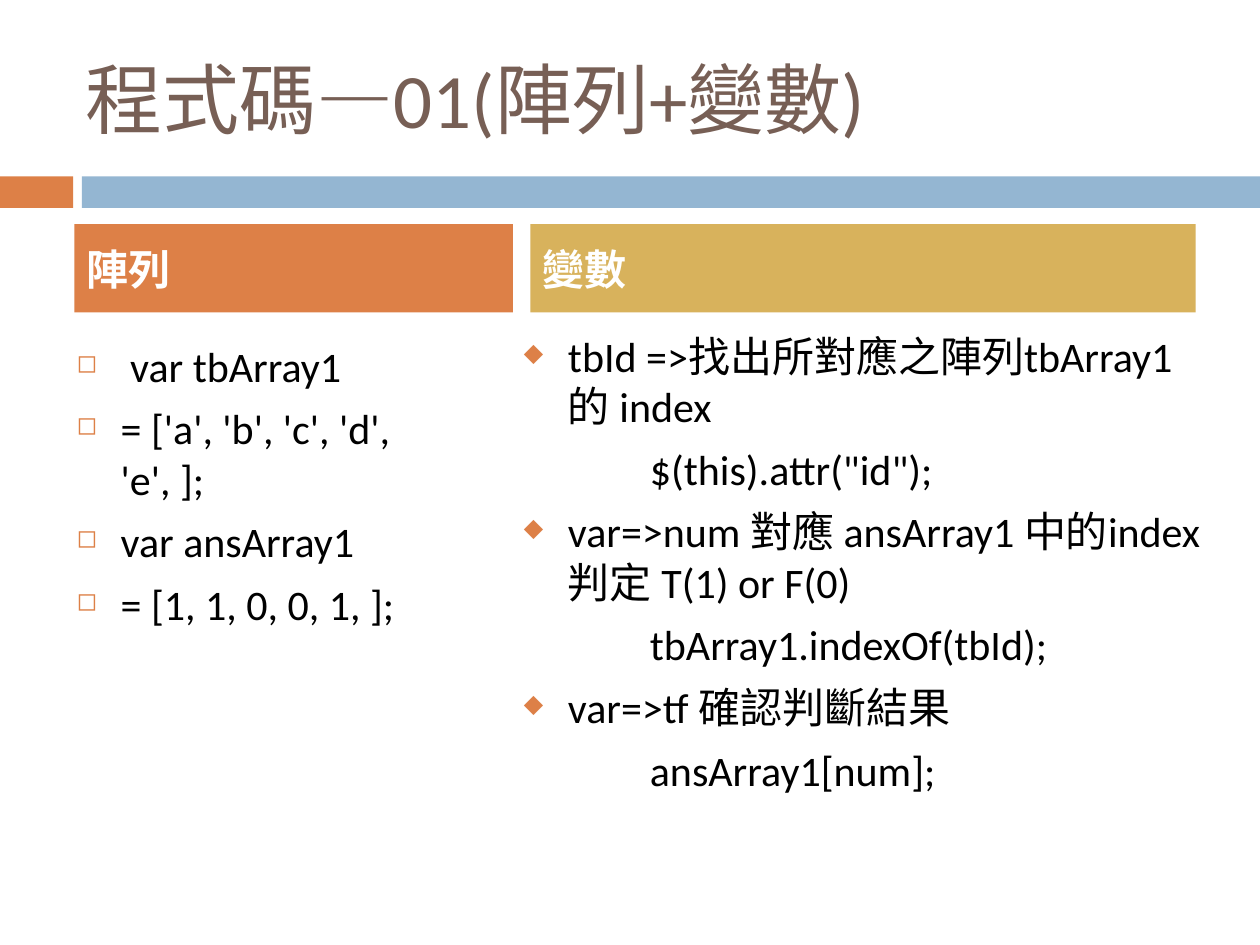
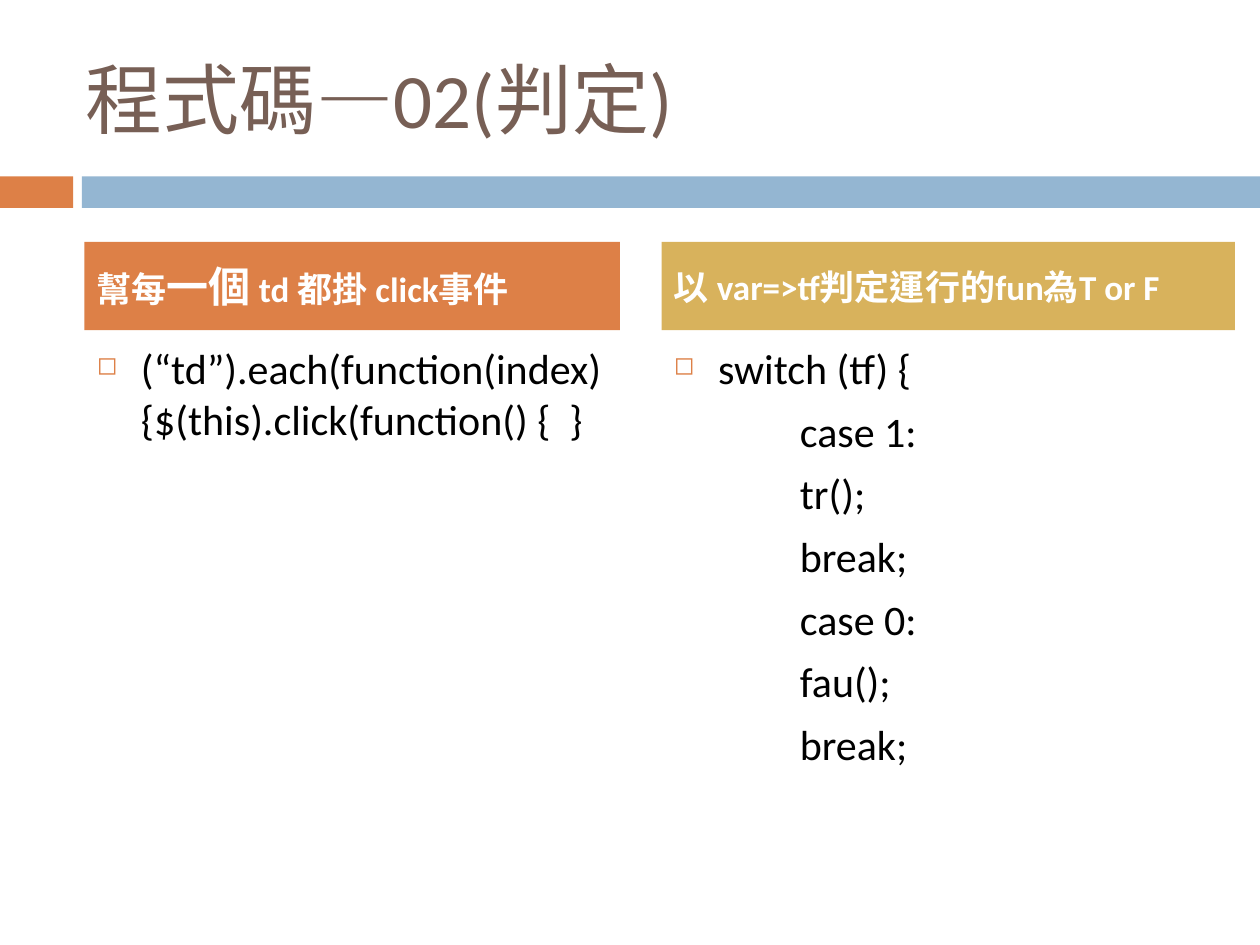
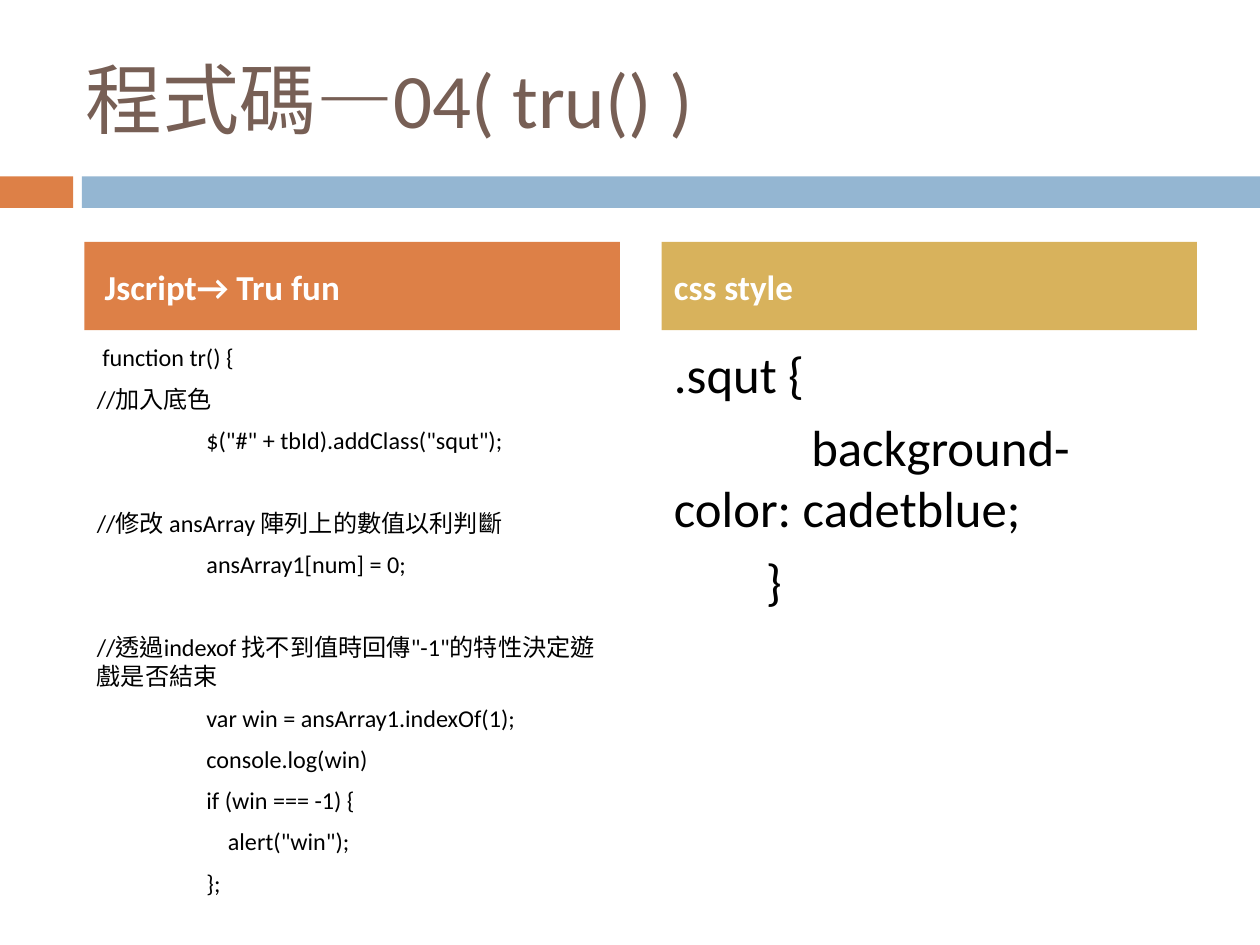
from collections import namedtuple
from dataclasses import dataclass

from lxml.etree import SubElement
from pptx import Presentation
from pptx.dml.color import RGBColor as Rgb
from pptx.enum.shapes import MSO_SHAPE as Kind
from pptx.enum.text import MSO_ANCHOR as Anchor, PP_ALIGN as Align
from pptx.oxml.ns import qn
from pptx.util import Inches, Pt


@dataclass(frozen=True)
class Theme:
    font: str = "Calibri"
    orange: str = "DD8047"
    blue: str = "94B6D2"
    gold: str = "D8B25C"
    brown: str = "775F55"
    black: str = "000000"
    white: str = "FFFFFF"
    title: float = 44
    text: float = 24
    label: float = 20
    code: float = 13.8
    style: float = 29
    gap: float = 7


T = Theme()
Box = namedtuple("Box", "x y w h")
# left: indent of the whole line, first: extra indent of its first row
Line = namedtuple("Line", "text mark left first gap", defaults=("", 0, 0, T.gap))
SQUARE, DIAMOND = "◻", "◆"
STEP = 0.35   # hanging indent of a bullet
TAB = 1       # indent of code under a bullet


def place(box):
    return [Inches(n) for n in box]


def ink(run, size, color, bold=False):
    font = run.font
    font.name, font.size, font.bold = T.font, Pt(size), bold
    font.color.rgb = Rgb.from_string(color)
    run._r.get_or_add_rPr().set("lang", "zh-TW")


def indent(para, left, first):
    props = para._p.get_or_add_pPr()
    props.set("marL", str(Inches(left)))
    props.set("indent", str(Inches(first)))
    return props


def bullet(para, mark):
    props = indent(para, STEP, -STEP)
    tint = SubElement(props, qn("a:buClr"))
    SubElement(tint, qn("a:srgbClr"), val=T.orange)
    SubElement(props, qn("a:buSzPct"), val="60000")
    SubElement(props, qn("a:buChar"), char=mark)


def block(slide, box, color):
    shape = slide.shapes.add_shape(Kind.RECTANGLE, *place(box))
    shape.shadow.inherit = False
    shape.fill.solid()
    shape.fill.fore_color.rgb = Rgb.from_string(color)
    shape.line.fill.background()
    return shape


def frame(slide, title):
    # Title
    area = slide.shapes.add_textbox(*place(Box(0.58, 0.3, 8.92, 0.95)))
    text = area.text_frame
    text.word_wrap = True
    text.vertical_anchor = Anchor.MIDDLE
    text.text = title
    ink(text.paragraphs[0].runs[0], T.title, T.brown)
    # Band below it
    block(slide, Box(0, 1.4, 0.58, 0.25), T.orange)
    block(slide, Box(0.65, 1.4, 9.35, 0.25), T.blue)


def head(slide, box, color, parts):
    """Coloured heading; parts are (text, size) pairs."""
    text = block(slide, box, color).text_frame
    text.word_wrap = True
    text.vertical_anchor = Anchor.MIDDLE
    para = text.paragraphs[0]
    para.alignment = Align.LEFT
    for words, size in parts:
        run = para.add_run()
        run.text = words
        ink(run, size, T.white, True)


def body(slide, box, lines, size=T.text):
    text = slide.shapes.add_textbox(*place(box)).text_frame
    text.word_wrap = True
    text.text = "\n".join(line.text for line in lines)
    for para, line in zip(text.paragraphs, lines):
        para.space_before = Pt(line.gap)
        if line.mark:
            bullet(para, line.mark)
        else:
            indent(para, line.left, line.first)
        for run in para.runs:
            ink(run, size, T.black)


def pair(slide, left, right, wide=4.25):
    """Two equal columns, each (parts, lines, size)."""
    cols = ((0.67, 4.25, T.orange, left), (5.25, wide, T.gold, right))
    for x, w, color, (parts, lines, size) in cols:
        body(slide, Box(x, 2.67, 4.25, 3.92), lines, size)
        head(slide, Box(x, 1.92, w, 0.7), color, parts)


def arrays(slide):
    frame(slide, "程式碼—01(陣列+變數)")
    # Arrays
    words = (" var tbArray1", "= ['a', 'b', 'c', 'd', 'e', ];",
             "var ansArray1", "= [1, 1, 0, 0, 1, ];")
    body(slide, Box(0.51, 2.65, 3.4, 4.32), [Line(w, SQUARE) for w in words])
    head(slide, Box(0.59, 1.78, 3.48, 0.7), T.orange, [("陣列", T.text)])
    # Variables, each with its code
    notes = (
        ("tbId =>找出所對應之陣列tbArray1的 index", '$(this).attr("id");'),
        ("var=>num 對應 ansArray1 中的index 判定 T(1) or F(0)",
         "tbArray1.indexOf(tbId);"),
        ("var=>tf 確認判斷結果", "ansArray1[num];"),
    )
    lines = []
    for note, code in notes:
        lines += [Line(note, DIAMOND), Line(code, left=TAB)]
    body(slide, Box(4.06, 2.57, 5.63, 4.32), lines)
    head(slide, Box(4.21, 1.78, 5.28, 0.7), T.gold, [("變數", T.text)])


def judge(slide):
    frame(slide, "程式碼—02(判定)")
    click = [Line("(“td”).each(function(index) {$(this).click(function() {  }",
                  SQUARE)]
    cases = ("case 1:", "tr();", "break;", "case 0:", "fau();", "break;")
    switch = [Line("switch (tf) {", SQUARE)]
    switch += [Line(c, left=TAB) for c in cases]
    parts = [("幫每", T.label), ("一個", T.text), (" td 都掛 click事件", T.label)]
    pair(slide, (parts, click, T.text),
         ([("以 var=>tf判定運行的fun為T or F", T.label)], switch, T.text),
         wide=4.55)


def win(slide):
    frame(slide, "程式碼—04( tru() )")
    deep, far = 0.87, 31   # code indent, space before a new step
    code = [
        Line(" function tr() {"),
        Line("//加入底色"),
        Line('$("#" + tbId).addClass("squt");', left=deep),
        Line("//修改 ansArray 陣列上的數值以利判斷", gap=far),
        Line("ansArray1[num] = 0;", left=deep),
        Line('//透過indexof 找不到值時回傳"-1"的特性決定遊戲是否結束', gap=far),
        Line("var win = ansArray1.indexOf(1);", left=deep),
        Line("console.log(win)", left=deep),
        Line("if (win === -1) {", left=deep),
        Line('alert("win");', left=deep + 0.17),
        Line("};", left=deep),
    ]
    style = [
        Line(".squt {"),
        Line("background-color: cadetblue;", first=1.09),
        Line("}", left=0.73),
    ]
    pair(slide, ([(" Jscript→ Tru fun", T.label)], code, T.code),
         ([("css style", T.label)], style, T.style))


deck = Presentation()
deck.slide_width, deck.slide_height = Inches(10), Inches(7.5)
for build in (arrays, judge, win):
    build(deck.slides.add_slide(deck.slide_layouts[6]))
deck.save("out.pptx")
